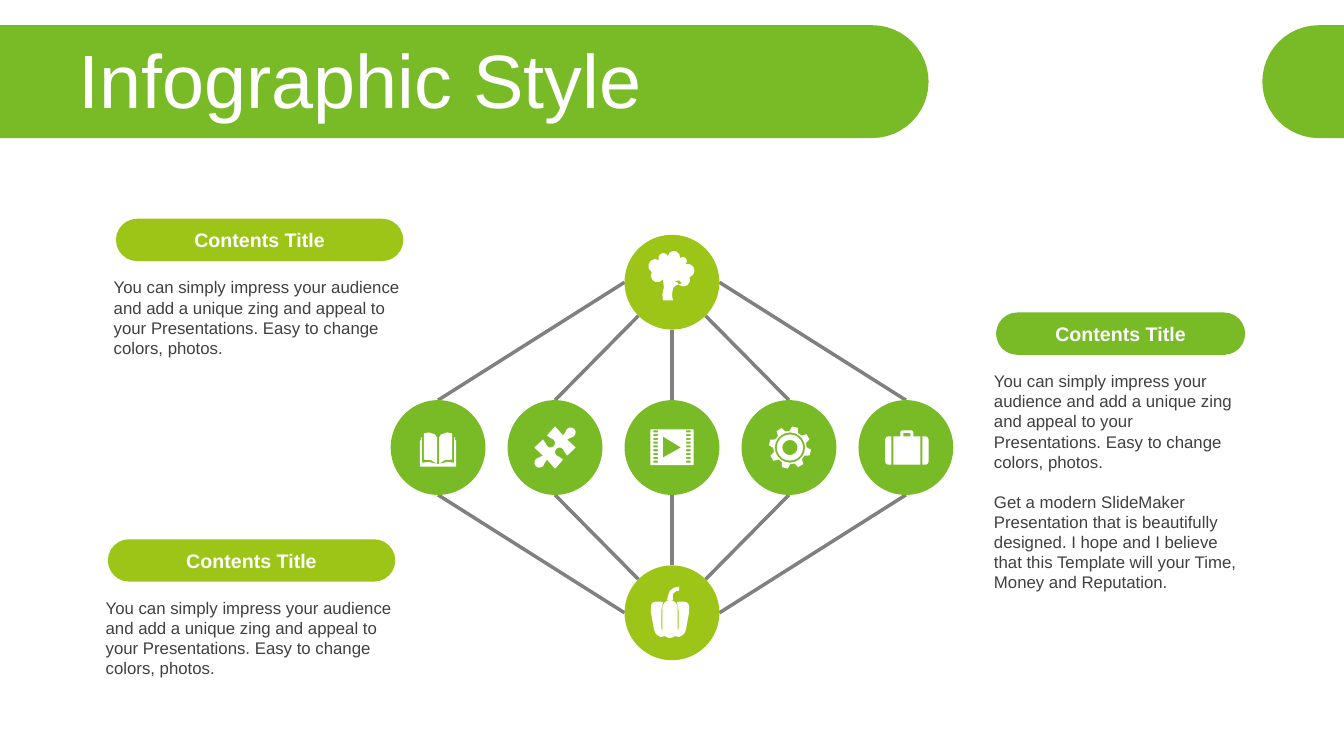
from dataclasses import dataclass
from math import atan2, cos, degrees, hypot, radians, sin

from lxml import etree
from pptx import Presentation
from pptx.dml.color import RGBColor
from pptx.enum.shapes import MSO_CONNECTOR, MSO_SHAPE
from pptx.enum.text import MSO_ANCHOR, MSO_AUTO_SIZE, PP_ALIGN
from pptx.oxml.ns import qn
from pptx.util import Inches, Pt

STRAIGHT = MSO_CONNECTOR.STRAIGHT
ELLIPSE, PILL = MSO_SHAPE.OVAL, MSO_SHAPE.ROUNDED_RECTANGLE
MIDDLE = MSO_ANCHOR.MIDDLE
NO_FIT, GROW = MSO_AUTO_SIZE.NONE, MSO_AUTO_SIZE.SHAPE_TO_FIT_TEXT
LEFT, CENTER = PP_ALIGN.LEFT, PP_ALIGN.CENTER
TITLE_ONLY = 5


@dataclass(frozen=True)
class Theme:
    """Colours, font and type sizes of the slide."""
    green: str = "79BA27"
    lime: str = "9DC518"
    white: str = "FFFFFF"
    line: str = "808080"
    text: str = "404040"
    font: str = "Arial"
    title: int = 54
    heading: int = 14
    body: int = 12


THEME = Theme()
WIDTH, HEIGHT = 13.33, 7.5
COLUMN, ROW, DIAMETER = 1.16, 1.64, 0.94
MIDDLE_Y = 4.44
BANNER_TOP, BANNER_RADIUS = 0.25, 0.56
PITCH = ("You can simply impress your audience and add a unique zing and appeal "
         "to your Presentations. Easy to change colors, photos.")
REPUTATION = ("Get a modern SlideMaker Presentation that is beautifully designed. I hope "
              "and I believe that this Template will your Time, Money and Reputation.")
PANELS = [
    (1.15, 2.17, 2.85, THEME.lime, [PITCH]),
    (1.07, 5.35, 2.85, THEME.lime, [PITCH]),
    (9.88, 3.10, 2.47, THEME.green, [PITCH, REPUTATION]),
]


def apply(target, values):
    """Set each named value on the target."""
    for name, value in values.items():
        setattr(target, name, value)


def paint(shape, color):
    """Fill a shape with one colour, without line or shadow."""
    shape.fill.solid()
    shape.fill.fore_color.rgb = RGBColor.from_string(color)
    shape.line.fill.background()
    shape.shadow.inherit = False


def write(frame, paragraphs, size, color, bold=False, **layout):
    """Write formatted paragraphs into a text frame."""
    for index, text in enumerate(paragraphs):
        paragraph = frame.paragraphs[0] if index == 0 else frame.add_paragraph()
        paragraph.text = text
        apply(paragraph, layout)
        if index:
            paragraph.space_before = Pt(14)
        apply(paragraph.font, {"name": THEME.font, "size": Pt(size), "bold": bold})
        paragraph.font.color.rgb = RGBColor.from_string(color)


def arc(x, y, radius, start, end, steps=5):
    """Return points along an arc, with angles clockwise from the right."""
    angles = [radians(start + (end - start) * i / steps) for i in range(steps + 1)]
    return [(x + radius * cos(a), y + radius * sin(a)) for a in angles]


def box(left, top, right, bottom):
    """Return the corners of a rectangle."""
    return [(left, top), (right, top), (right, bottom), (left, bottom)]


def mirror(points, axis=0):
    """Reflect points across a vertical axis."""
    return [(2 * axis - x, y) for x, y in points]


def add_outline(slide, contours, color, x=0, y=0, unit=1):
    """Draw closed contours as one shape around an origin in inches."""
    placed = [[(Inches(x + px * unit), Inches(y + py * unit)) for px, py in contour]
              for contour in contours]
    builder = slide.shapes.build_freeform(*placed[0][0], scale=1.0)
    for index, contour in enumerate(placed):
        if index:
            builder.move_to(*contour[0])
        builder.add_line_segments(contour[1:], close=True)
    paint(builder.convert_to_shape(), color)


def book():
    """Return the contours of an open book."""
    page = [(1, -10), (3, -13), (9, -15), (14, -14), (14, 12), (7, 12.5), (1, 16)]
    cover = [(0, 16.5), (9, 14.3), (16, 15), (16, -10), (17, -10), (17, -7),
             (18, -7), (18, 19), (0, 19)]
    return [page, mirror(page), cover, mirror(cover)]


def puzzle():
    """Return a puzzle piece with two knobs and two sockets."""
    half = [(0, -21), (8, -12), *arc(15.5, -15, 5, 190, 440, 8), (12, -8), (20.5, 0),
            (12, 8), *arc(4.5, 4.5, 4.5, 350, 100, 8), (8, 12)]
    return [half + [(-x, -y) for x, y in half]]


def film():
    """Return a film frame with sprocket holes and a play sign."""
    tops = [-17 + 3.75 * i for i in range(9)]
    holes = [box(left, top, left + 4.5, top + 2) for top in tops for left in (-18.5, 14)]
    return [box(-21.5, -18, 21.5, 17.5), [(-9, -11), (9, 0), (-9, 10)], *holes]


def gear():
    """Return a gear with eight teeth and inner rings."""
    teeth = []
    for center in range(-76, 284, 45):
        teeth += arc(0, 0, 21, center - 8, center + 8, 1)
        teeth += arc(0, 0, 16.5, center + 15, center + 30, 1)
    return [teeth, *[arc(0, 0, radius, 0, 360, 20) for radius in (15, 13, 7.5)]]


def suitcase():
    """Return the contours of a suitcase."""
    side = [(15.3, -11), *arc(18.5, -8, 3, 270, 360, 3), *arc(18.5, 14, 3, 0, 90, 3),
            (15.3, 17)]
    body = [(-13.5, -11), (-6.5, -11), *arc(-4.5, -15, 2, 180, 270, 2),
            *arc(4.5, -15, 2, 270, 360, 2), (6.5, -11), (13.5, -11), (13.5, 17), (-13.5, 17)]
    return [side, mirror(side), body, box(-3.5, -14.5, 3.5, -11)]


def broccoli():
    """Return a scalloped crown on its stem."""
    notches = [(-9, -3), (-20, -10), (-13, -22), (-4, -26), (8, -24), (13.5, -18),
               (17.5, -5), (5, 0)]
    outline = [(1, 0), (7, -2), (10, 1), (4, 3), (1, 6), (0, 13), (1, 18),
               (-9, 18), (-9.5, 12), (-8, 5)]
    for (x1, y1), (x2, y2) in zip(notches, notches[1:]):
        start = degrees(atan2(y1 - y2, x1 - x2))
        outline += arc((x1 + x2) / 2, (y1 + y2) / 2, hypot(x1 - x2, y1 - y2) / 2,
                       start, start + 180)
    return [outline]


def pepper():
    """Return the lobes and stalk of a bell pepper."""
    lobe = [(5, -10.5), (7, -11), *arc(12.5, -6.5, 4.5, 270, 360, 3), (17, -1), (14, 16),
            (12.5, 20), (10, 22.5), (7, 24), (3, 23), (5.5, 19), (6.5, 15), (6.5, -3)]
    core = [*arc(-2, -5, 7.5, 180, 360, 8), *arc(-2, 17.5, 7.5, 0, 180, 8)]
    stalk = [(-5, -12.5), (-4, -17), (-2, -22), (2, -25), (7, -26), (7, -22), (4, -21.5),
             (1, -19), (1, -12.5)]
    return [lobe, mirror(lobe, -2), core, stalk]


def add_banner(slide):
    """Draw the title band and its counterpart at the right edge."""
    y = BANNER_TOP + BANNER_RADIUS
    ends = [(0, 8.65, -90, 90), (WIDTH, 13.08, 90, 270)]
    for edge, x, start, end in ends:
        curve = arc(x, y, BANNER_RADIUS, start, end, 24)
        add_outline(slide, [[(edge, curve[0][1]), *curve, (edge, curve[-1][1])]], THEME.green)


def add_title(slide, text):
    """Place the title above the band."""
    title = slide.shapes.title
    title.element.getparent().append(title.element)
    apply(title, {"left": Inches(0.68), "top": Inches(0.44),
                  "width": Inches(12.33), "height": Inches(0.79)})
    apply(title.text_frame, {"vertical_anchor": MIDDLE, "auto_size": NO_FIT, "word_wrap": True})
    write(title.text_frame, [text], THEME.title, THEME.white, alignment=LEFT, line_spacing=0.9)


def add_link(slide, column, row):
    """Join a middle node to the top or bottom node."""
    radius = DIAMETER / 2
    angle = radians({0: 90, 1: 45, 2: 0}[abs(column)])
    side = (column > 0) - (column < 0)
    points = [WIDTH / 2 + column * COLUMN, MIDDLE_Y + row * radius,
              WIDTH / 2 + side * radius * cos(angle),
              MIDDLE_Y + row * (ROW - radius * sin(angle))]
    link = slide.shapes.add_connector(STRAIGHT, *map(Inches, points))
    link.line.width = Pt(2.5)
    link.line.color.rgb = RGBColor.from_string(THEME.line)
    etree.SubElement(link._element.spPr, qn("a:effectLst"))


def add_node(slide, column, row, color, icon, nudge=0):
    """Draw a circle on the node grid with its icon."""
    x, y = WIDTH / 2 + column * COLUMN, MIDDLE_Y + row * ROW
    corner = (x - DIAMETER / 2, y - DIAMETER / 2)
    paint(slide.shapes.add_shape(ELLIPSE, *map(Inches, (*corner, DIAMETER, DIAMETER))), color)
    add_outline(slide, icon, THEME.white, x + nudge, y, 0.01)


def add_panel(slide, left, top, width, color, paragraphs):
    """Add a pill heading with body text below."""
    pill = slide.shapes.add_shape(PILL, *map(Inches, (left, top, width, 0.42)))
    pill.adjustments[0] = 0.5
    paint(pill, color)
    pill.text_frame.vertical_anchor = MIDDLE
    write(pill.text_frame, ["Contents Title"], THEME.heading, THEME.white, True, alignment=CENTER)
    size = (left - 0.12, top + 0.53, width + 0.21, 0.91 if len(paragraphs) == 1 else 2.12)
    body = slide.shapes.add_textbox(*map(Inches, size))
    apply(body.text_frame, {"word_wrap": True, "auto_size": GROW})
    write(body.text_frame, paragraphs, THEME.body, THEME.text)


def main():
    """Build and save the slide."""
    presentation = Presentation()
    apply(presentation, {"slide_width": Inches(WIDTH), "slide_height": Inches(HEIGHT)})
    slide = presentation.slides.add_slide(presentation.slide_layouts[TITLE_ONLY])
    add_banner(slide)
    add_title(slide, "Infographic Style")
    for row in (-1, 1):
        for column in range(-2, 3):
            add_link(slide, column, row)
    icons = [(book(), 0), (puzzle(), 0), (film(), 0), (gear(), 0.01), (suitcase(), 0.01)]
    for column, (icon, nudge) in enumerate(icons, -2):
        add_node(slide, column, 0, THEME.green, icon, nudge)
    add_node(slide, 0, -1, THEME.lime, broccoli())
    add_node(slide, 0, 1, THEME.lime, pepper())
    for panel in PANELS:
        add_panel(slide, *panel)
    presentation.save("out.pptx")


if __name__ == "__main__":
    main()
